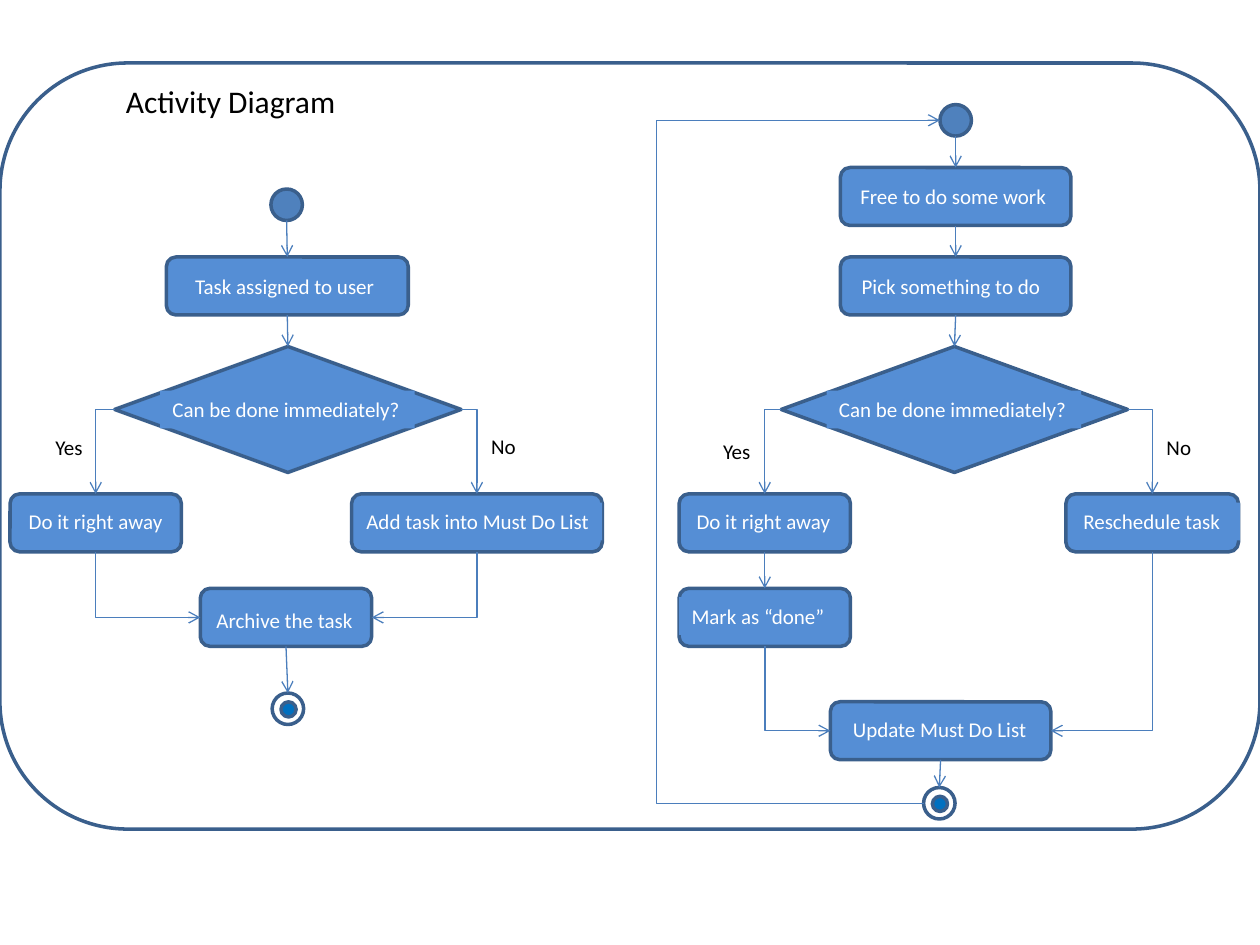
import pptx
import pptx.dml.color
import pptx.enum.shapes
import pptx.enum.text
import pptx.oxml
import pptx.oxml.ns
import pptx.util
from pptx.util import Inches

KIND = pptx.enum.shapes.MSO_SHAPE
ROUTE = pptx.enum.shapes.MSO_CONNECTOR
WHITE, BLACK, STEP, START, FINAL = "FFFFFF", "000000", "558ED5", "4F81BD", "0070C0"
BORDER, ARROW = "3A5F8C", "4B7EBC"
STEP_HEIGHT = 0.46


def color(value):
    """Turn a hex string into a colour."""
    return pptx.dml.color.RGBColor.from_string(value)


def paint(shape, fill):
    """Fill a shape, or leave it clear when fill is None."""
    if fill is None:
        shape.fill.background()
    else:
        shape.fill.solid()
        shape.fill.fore_color.rgb = color(fill)


def add_shape(shapes, kind, box, fill):
    """Add a bordered preset shape at the given box in inches."""
    shape = shapes.add_shape(kind, *map(Inches, box))
    shape.shadow.inherit = False
    paint(shape, fill)
    shape.line.color.rgb = color(BORDER)
    shape.line.width = pptx.util.Pt(2)
    return shape


def add_label(shapes, text, box, ink=BLACK, size=12, fill=None):
    """Add one line of text, with a fill behind it if one is given."""
    label = shapes.add_textbox(*map(Inches, box))
    paint(label, fill)
    frame = label.text_frame
    frame.word_wrap = False
    frame.auto_size = pptx.enum.text.MSO_AUTO_SIZE.SHAPE_TO_FIT_TEXT
    span = frame.paragraphs[0].add_run()
    span.text = text
    values = {"name": "Calibri", "size": pptx.util.Pt(size)}
    for key, value in values.items():
        setattr(span.font, key, value)
    span.font.color.rgb = color(ink)


def add_step(page, text, box, label, kind=KIND.ROUNDED_RECTANGLE):
    """Group a shape with its label; label is x and y offset and width."""
    left, top = box[:2]
    shift, drop, width = label
    group = page.shapes.add_group_shape()
    shape = add_shape(group.shapes, kind, box, STEP)
    add_label(group.shapes, text, (left + shift, top + drop, width, 0.3), WHITE, fill=STEP)
    return shape


def add_decision(page, left, top):
    """Draw the question both flows ask."""
    return add_step(page, "Can be done immediately?", (left, top, 2.75, 1),
                    (0.36, 0.35, 2.02), KIND.DIAMOND)


def add_start(page, left, top):
    """Draw the filled start circle."""
    return add_shape(page.shapes, KIND.OVAL, (left, top, 0.25, 0.25), START)


def add_final(page, left, top):
    """Draw the ringed final circle and return its ring."""
    group = page.shapes.add_group_shape()
    ring = add_shape(group.shapes, KIND.OVAL, (left, top, 0.25, 0.25), None)
    add_shape(group.shapes, KIND.OVAL, (left + 0.07, top + 0.07, 0.12, 0.12), FINAL)
    return ring


def side(shape, number):
    """Give the middle of a side: 0 top, 1 left, 2 bottom, 3 right."""
    middle = shape.left + shape.width // 2, shape.top + shape.height // 2
    return ((middle[0], shape.top), (shape.left, middle[1]),
            (middle[0], shape.top + shape.height),
            (shape.left + shape.width, middle[1]))[number]


def add_arrow(page, route, start, end):
    """Add a connector with an open arrowhead at its end."""
    arrow = page.shapes.add_connector(route, *start, *end)
    arrow.line.color.rgb = color(ARROW)
    arrow.line.width = pptx.util.Pt(0.75)
    line = arrow.line._get_or_add_ln()
    line.append(pptx.oxml.parse_xml(
        f'<a:tailEnd {pptx.oxml.ns.nsdecls("a")} type="arrow"/>'))
    arrow._element.spPr.append(pptx.oxml.parse_xml(
        f'<a:effectLst {pptx.oxml.ns.nsdecls("a")}/>'))
    return arrow


def link_down(page, *shapes):
    """Join each shape to the next, from bottom to top."""
    for upper, lower in zip(shapes, shapes[1:]):
        arrow = add_arrow(page, ROUTE.STRAIGHT, side(upper, 2), side(lower, 0))
        if upper.auto_shape_type != KIND.OVAL:
            arrow.begin_connect(upper, 2)
        arrow.end_connect(lower, 0)


def link_corner(page, start, end, down_first=False):
    """Draw an arrow with one corner."""
    arrow = add_arrow(page, ROUTE.ELBOW, start, end)
    properties = arrow._element.spPr
    properties.find(pptx.oxml.ns.qn("a:prstGeom")).set("prst", "bentConnector2")
    if down_first:
        width, height = arrow.width, arrow.height
        arrow.left += (width - height) // 2
        arrow.top += (height - width) // 2
        arrow.width, arrow.height = height, width
        rightward = end[0] > start[0]
        frame = properties.find(pptx.oxml.ns.qn("a:xfrm"))
        frame.set("rot", str((270 if rightward else 90) * 60000))
        frame.set("flipH", str(int(rightward)))


def link_back(page, start, end, lane):
    """Draw an arrow that returns along the vertical lane."""
    arrow = add_arrow(page, ROUTE.ELBOW, start, end)
    shape = arrow._element.spPr.find(pptx.oxml.ns.qn("a:prstGeom"))
    bend = round((lane - start[0]) / (end[0] - start[0]) * 100000)
    guides = shape.get_or_add_avLst()
    guides.append(pptx.oxml.parse_xml(
        f'<a:gd {pptx.oxml.ns.nsdecls("a")} name="adj1" fmla="val {bend}"/>'))


def link_branches(page, decision, yes, no, merge):
    """Send both answers to their steps."""
    link_corner(page, side(decision, 1), side(yes, 0))
    link_corner(page, side(decision, 3), side(no, 0))
    link_corner(page, side(no, 2), side(merge, 3), down_first=True)


def draw_assign_flow(page, left, top):
    """Draw the flow for a task that is assigned."""
    start = add_start(page, left + 2.07, top)
    assigned = add_step(page, "Task assigned to user",
                        (left + 1.24, top + 0.54, 1.92, STEP_HEIGHT), (0.13, 0.08, 1.64))
    decision = add_decision(page, left + 0.83, top + 1.25)
    yes = add_step(page, "Do it right away",
                   (left, top + 2.42, 1.36, STEP_HEIGHT), (0.05, 0.07, 1.27))
    no = add_step(page, "Add task into Must Do List",
                  (left + 2.71, top + 2.42, 1.99, STEP_HEIGHT), (0.02, 0.07, 1.97))
    archive = add_step(page, "Archive the task",
                       (left + 1.51, top + 3.17, 1.36, STEP_HEIGHT), (0.03, 0.1, 1.3))
    final = add_final(page, left + 2.08, top + 4)
    link_down(page, start, assigned, decision)
    link_branches(page, decision, yes, no, archive)
    link_corner(page, side(yes, 2), side(archive, 1), down_first=True)
    link_down(page, archive, final)
    add_label(page.shapes, "Yes", (left + 0.26, top + 1.9, 0.42, 0.3))
    add_label(page.shapes, "No", (left + 3.72, top + 1.89, 0.4, 0.3))


def draw_work_flow(page, left, top):
    """Draw the flow for choosing work, with its way back."""
    start = add_start(page, left + 2.25, top)
    free = add_step(page, "Free to do some work",
                    (left + 1.46, top + 0.5, 1.83, STEP_HEIGHT), (0.06, 0.08, 1.7))
    pick = add_step(page, "Pick something to do",
                    (left + 1.46, top + 1.21, 1.83, STEP_HEIGHT), (0.07, 0.08, 1.68))
    decision = add_decision(page, left + 0.99, top + 1.92)
    yes = add_step(page, "Do it right away",
                   (left + 0.18, top + 3.09, 1.36, STEP_HEIGHT), (0.04, 0.07, 1.27))
    no = add_step(page, "Reschedule task",
                  (left + 3.25, top + 3.09, 1.37, STEP_HEIGHT), (0.04, 0.07, 1.34))
    done = add_step(page, "Mark as “done”",
                    (left + 0.18, top + 3.84, 1.36, STEP_HEIGHT), (0, 0.07, 1.26))
    update = add_step(page, "Update Must Do List",
                      (left + 1.38, top + 4.74, 1.75, STEP_HEIGHT), (0.08, 0.07, 1.59))
    final = add_final(page, left + 2.12, top + 5.42)
    link_down(page, start, free, pick, decision)
    link_branches(page, decision, yes, no, update)
    link_down(page, yes, done)
    link_corner(page, side(done, 2), side(update, 1), down_first=True)
    link_down(page, update, final)
    link_back(page, side(final, 1), side(start, 1), Inches(left))
    add_label(page.shapes, "Yes", (left + 0.43, top + 2.6, 0.42, 0.3))
    add_label(page.shapes, "No", (left + 3.95, top + 2.57, 0.4, 0.3))


def draw_frame(page, left, top):
    """Draw the rounded frame and the title."""
    add_shape(page.shapes, KIND.ROUNDED_RECTANGLE, (left, top, 10, 6.08), WHITE)
    add_label(page.shapes, "Activity Diagram", (left + 0.9, top + 0.1, 1.88, 0.4), size=18)


def main():
    """Build the deck."""
    deck = pptx.Presentation()
    deck.slide_width, deck.slide_height = Inches(10), Inches(7.5)
    page = deck.slides.add_slide(deck.slide_layouts[6])
    draw_frame(page, 0, 0.5)
    draw_assign_flow(page, 0.08, 1.5)
    draw_work_flow(page, 5.21, 0.83)
    deck.save("out.pptx")


if __name__ == "__main__":
    main()
